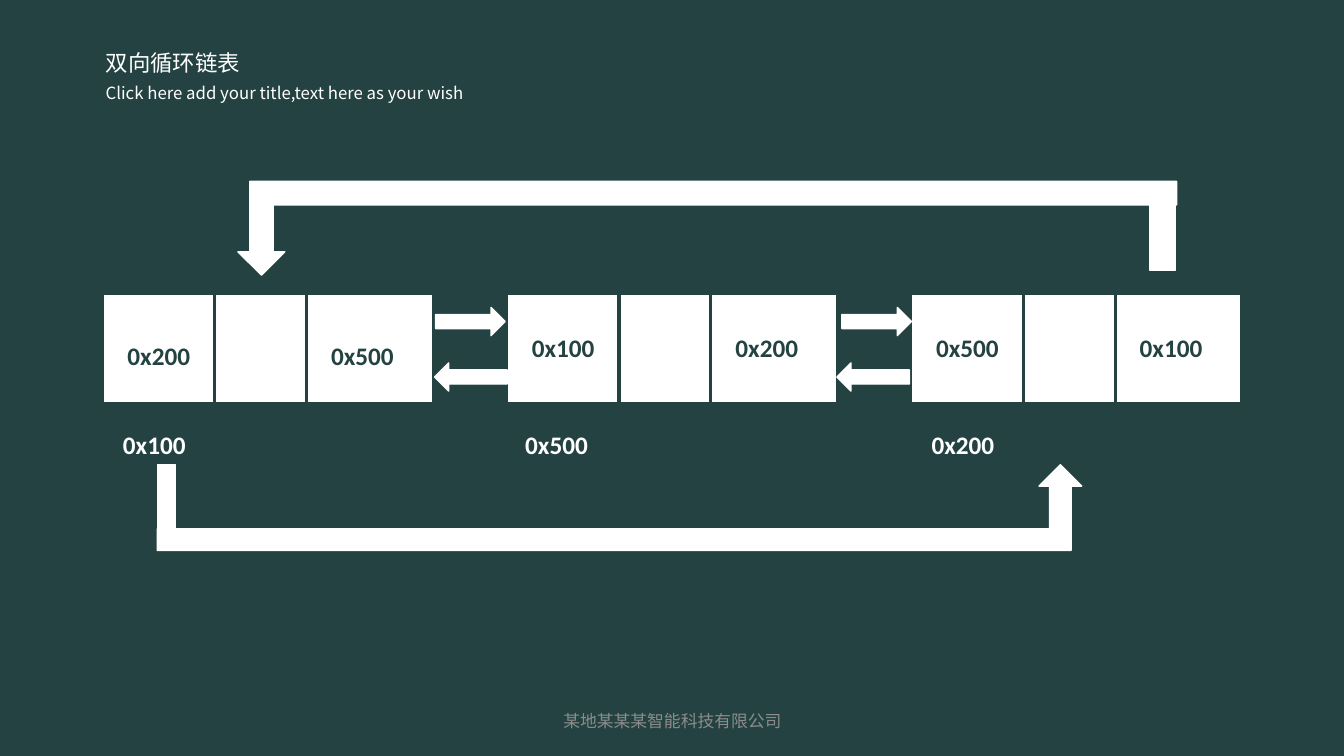
from pptx import Presentation
from pptx.dml.color import RGBColor
from pptx.enum.shapes import MSO_CONNECTOR, MSO_SHAPE
from pptx.enum.text import MSO_ANCHOR, MSO_AUTO_SIZE, PP_ALIGN
from pptx.oxml.ns import qn
from pptx.util import Inches, Pt
from lxml import etree

COLORS = {"dark": "244242", "white": "FFFFFF", "grey": "8C8C8C"}
HEADING_FONT, BODY_FONT = "Noto Sans CJK SC", "Calibri"

TITLE = "双向循环链表"
SUBTITLE = "Click here add your title,text here as your wish"
FOOTER = "某地某某某智能科技有限公司"

# Each node: left, previous address, next address, top of those, own address, its left
NODES = [
    (1.02, "0x200", "0x500", 3.33, "0x100", 1.02),
    (5.03, "0x100", "0x200", 3.25, "0x500", 5.01),
    (9.04, "0x500", "0x100", 3.25, "0x200", 9.04),
]
NODE_TOP, NODE_WIDTH, NODE_HEIGHT = 2.92, 3.27, 1.08
DIVIDERS = (1.11, 2.02)  # offsets from the node's left side

# Arrows and bars: preset, left, top, width, height, rotation
LINKS = [
    (MSO_SHAPE.RIGHT_ARROW, 4.32, 3.05, 0.69, 0.28, 0),
    (MSO_SHAPE.RIGHT_ARROW, 8.35, 3.05, 0.69, 0.28, 0),
    (MSO_SHAPE.LEFT_ARROW, 4.31, 3.6, 0.72, 0.28, 0),
    (MSO_SHAPE.LEFT_ARROW, 8.3, 3.6, 0.72, 0.28, 0),
    (MSO_SHAPE.BENT_UP_ARROW, 2.36, 1.8, 9.31, 0.93, 180),
    (MSO_SHAPE.RECTANGLE, 11.4, 1.8, 0.26, 0.88, 0),
    (MSO_SHAPE.BENT_UP_ARROW, 1.56, 4.61, 9.17, 0.85, 0),
    (MSO_SHAPE.RECTANGLE, 1.56, 4.61, 0.18, 0.66, 0),
]


def color(key):
    return RGBColor.from_string(COLORS[key])


def write(box, text, size, font, ink, bold=False,
          align=PP_ALIGN.LEFT, anchor=MSO_ANCHOR.TOP):
    frame = box.text_frame
    frame.word_wrap = True
    frame.auto_size = MSO_AUTO_SIZE.NONE
    frame.vertical_anchor = anchor
    paragraph = frame.paragraphs[0]
    paragraph.alignment = align
    run = paragraph.add_run()
    run.text = text
    run.font.size = Pt(size)
    run.font.bold = bold
    run.font.color.rgb = color(ink)
    run.font.name = font
    east_asian = etree.SubElement(run.font._element, qn("a:ea"))
    east_asian.set("typeface", font)


def add_text(slide, left, top, width, height, *content, **layout):
    box = slide.shapes.add_textbox(
        Inches(left), Inches(top), Inches(width), Inches(height))
    write(box, *content, **layout)


def add_address(slide, left, top, width, address, ink):
    add_text(slide, left, top, width, 0.4, address, 18, BODY_FONT, ink,
             bold=True, align=PP_ALIGN.CENTER)


def add_block(slide, preset, left, top, width, height, outline, rotation=0):
    """Add a white preset shape with a thin outline."""
    block = slide.shapes.add_shape(
        preset, Inches(left), Inches(top), Inches(width), Inches(height))
    block.rotation = rotation
    block.shadow.inherit = False
    block.fill.solid()
    block.fill.fore_color.rgb = color("white")
    block.line.color.rgb = color(outline)
    block.line.width = Pt(1)


def add_divider(slide, x):
    divider = slide.shapes.add_connector(
        MSO_CONNECTOR.STRAIGHT, Inches(x), Inches(NODE_TOP),
        Inches(x), Inches(NODE_TOP + NODE_HEIGHT))
    divider.line.color.rgb = color("dark")
    divider.line.width = Pt(2.25)
    etree.SubElement(divider._element.spPr, qn("a:effectLst"))


def add_node(slide, left, previous, following, text_top, own, own_left):
    add_block(slide, MSO_SHAPE.RECTANGLE, left, NODE_TOP,
              NODE_WIDTH, NODE_HEIGHT, "dark")
    for offset in DIVIDERS:
        add_divider(slide, left + offset)
    add_address(slide, left, text_top, 1.11, previous, "dark")
    add_address(slide, left + DIVIDERS[1], text_top, 1.11, following, "dark")
    add_address(slide, own_left, 4.21, 1.02, own, "white")


def main():
    deck = Presentation()
    deck.slide_width, deck.slide_height = Inches(13.33), Inches(7.5)
    slide = deck.slides.add_slide(deck.slide_layouts[5])
    slide.background.fill.solid()
    slide.background.fill.fore_color.rgb = color("dark")

    title = slide.shapes.title
    title.left, title.top = Inches(0.95), Inches(0.44)
    title.width, title.height = Inches(3.83), Inches(0.37)
    write(title, TITLE, 16, HEADING_FONT, "white")
    add_text(slide, 0.95, 0.77, 6.07, 0.3, SUBTITLE, 12, HEADING_FONT, "white")
    add_text(slide, 4.42, 6.95, 4.5, 0.4, FOOTER, 12, BODY_FONT, "grey",
             align=PP_ALIGN.CENTER, anchor=MSO_ANCHOR.MIDDLE)

    for node in NODES:
        add_node(slide, *node)
    for preset, left, top, width, height, rotation in LINKS:
        add_block(slide, preset, left, top, width, height, "white", rotation)

    deck.save("out.pptx")


if __name__ == "__main__":
    main()
